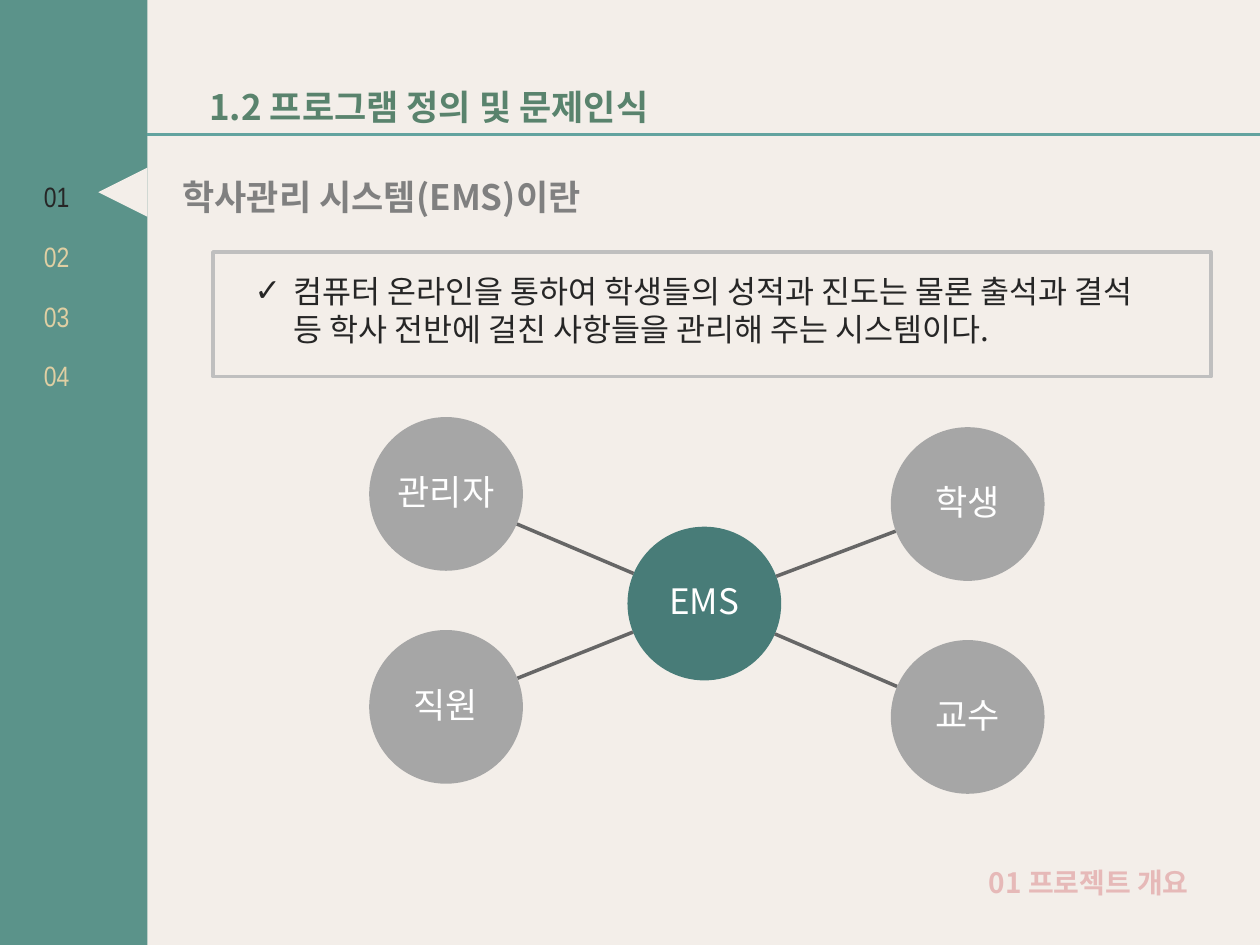
from math import hypot

from lxml import etree
from pptx import Presentation
from pptx.dml.color import RGBColor
from pptx.enum.shapes import MSO_CONNECTOR, MSO_SHAPE
from pptx.enum.text import MSO_ANCHOR, MSO_AUTO_SIZE, PP_ALIGN
from pptx.oxml.ns import qn
from pptx.util import Inches, Pt

RECT, OVAL = MSO_SHAPE.RECTANGLE, MSO_SHAPE.OVAL
TRIANGLE = MSO_SHAPE.ISOSCELES_TRIANGLE
STRAIGHT = MSO_CONNECTOR.STRAIGHT
TOP, MIDDLE = MSO_ANCHOR.TOP, MSO_ANCHOR.MIDDLE
LEFT, CENTER = PP_ALIGN.LEFT, PP_ALIGN.CENTER
NO_FIT = MSO_AUTO_SIZE.NONE

KOREAN, NARROW = "Noto Sans CJK KR", "Arial Narrow"
CREAM, TEAL, DARK_TEAL, GREY = "F3EEE9", "5B938A", "487C78", "A6A6A6"
INK, SAND, WHITE = "262626", "E0CFA3", "FFFFFF"


def rgb(value):
    """Turn a hex string into a colour."""
    return RGBColor.from_string(value)


class Deck:
    """Hold the presentation, its text styles and the current slide."""

    styles = {
        "heading": {"name": KOREAN, "size": Pt(20), "bold": True},
        "body": {"name": KOREAN, "size": Pt(18), "bold": False},
        "node": {"name": KOREAN, "size": Pt(20), "bold": False},
        "number": {"name": NARROW, "size": Pt(16), "bold": False},
        "footer": {"name": KOREAN, "size": Pt(16), "bold": True},
    }

    def __init__(self, width, height):
        """Start an empty presentation of the given size."""
        self.prs = Presentation()
        self.prs.slide_width, self.prs.slide_height = Inches(width), Inches(height)
        self.s = None

    def slide(self, background):
        """Add a title and content slide with a plain background."""
        self.s = self.prs.slides.add_slide(self.prs.slide_layouts[1])
        fill = self.s.background.fill
        fill.solid()
        fill.fore_color.rgb = rgb(background)

    def label(self, sp, text, style, color, align=LEFT, anchor=TOP):
        """Put one styled paragraph into a shape."""
        tf = sp.text_frame
        frame = {"word_wrap": True, "auto_size": NO_FIT, "vertical_anchor": anchor}
        for key, value in frame.items():
            setattr(tf, key, value)
        p = tf.paragraphs[0]
        p.alignment, p.space_before = align, Pt(0)
        r = p.add_run()
        r.text = text
        for key, value in self.styles[style].items():
            setattr(r.font, key, value)
        r.font.color.rgb = rgb(color)
        ea = etree.SubElement(r.font._element, qn("a:ea"))
        ea.set("typeface", self.styles[style]["name"])
        return p

    def placeholder(self, index, box, text, style, color):
        """Move and fill a template placeholder."""
        sp = self.s.placeholders[index]
        sp.left, sp.top, sp.width, sp.height = map(Inches, box)
        return self.label(sp, text, style, color)

    def bullet(self, p, char, indent):
        """Give a paragraph a hanging bullet."""
        pPr = p._p.get_or_add_pPr()
        pPr.set("marL", str(Inches(indent)))
        pPr.set("indent", str(-Inches(indent)))
        etree.SubElement(pPr, qn("a:buChar")).set("char", char)

    def text(self, box, text, style, color):
        """Add a text box."""
        sp = self.s.shapes.add_textbox(*map(Inches, box))
        self.label(sp, text, style, color)

    def shape(self, kind, box, fill=None, line=None, rotation=0):
        """Add a preset shape with an optional fill and outline."""
        sp = self.s.shapes.add_shape(kind, *map(Inches, box))
        sp.shadow.inherit = False
        sp.rotation = rotation
        if fill:
            sp.fill.solid()
            sp.fill.fore_color.rgb = rgb(fill)
        else:
            sp.fill.background()
        if line:
            sp.line.color.rgb, sp.line.width = rgb(line), Pt(2)
        else:
            sp.line.fill.background()
        return sp

    def line(self, start, end, color, width):
        """Add a straight line without a shadow."""
        sp = self.s.shapes.add_connector(STRAIGHT, *map(Inches, (*start, *end)))
        sp.line.color.rgb, sp.line.width = rgb(color), Pt(width)
        etree.SubElement(sp._element.spPr, qn("a:effectLst"))

    def node(self, center, radius, text, fill):
        """Add a labelled circle around a centre point."""
        x, y = center
        sp = self.shape(OVAL, (x - radius, y - radius, 2 * radius, 2 * radius), fill)
        for side in ("left", "top", "right", "bottom"):
            setattr(sp.text_frame, f"margin_{side}", Inches(0.01))
        p = self.label(sp, text, "node", WHITE, CENTER, MIDDLE)
        p.line_spacing = 0.9

    def spoke(self, hub, center, radius):
        """Join the edges of two circles of equal radius."""
        dx, dy = center[0] - hub[0], center[1] - hub[1]
        part = radius / hypot(dx, dy)
        start = hub[0] + dx * part, hub[1] + dy * part
        end = center[0] - dx * part, center[1] - dy * part
        self.line(start, end, "666666", 2)


def main():
    """Build the slide and save it."""
    deck = Deck(10, 7.5)
    deck.slide(CREAM)

    deck.shape(RECT, (0, 0, 1.17, 7.5), TEAL)
    deck.shape(TRIANGLE, (0.78, 1.33, 0.39, 0.39), CREAM, rotation=270)
    for i in range(4):
        box = (0.25, 1.38 + i * 1.42 / 3, 0.49, 0.37)
        deck.text(box, f"{i + 1:02d}", "number", SAND if i else INK)

    deck.placeholder(0, (1.56, 0.63, 4.7, 0.44), "1.2 프로그램 정의 및 문제인식", "heading", "59836D")
    deck.line((1.17, 1.07), (10, 1.07), "62A39F", 1.5)
    deck.text((1.35, 1.34, 3.97, 0.44), "학사관리 시스템(EMS)이란", "heading", "808080")

    definition = ("컴퓨터 온라인을 통하여 학생들의 성적과 진도는 물론 출석과 결석 "
                  "등 학사 전반에 걸친 사항들을 관리해 주는 시스템이다.")
    p = deck.placeholder(1, (1.92, 2.11, 7.34, 1.01), definition, "body", INK)
    deck.bullet(p, "✓", 0.31)
    deck.shape(RECT, (1.69, 2, 7.92, 0.99), line="BFBFBF")

    hub, radius = (5.59, 4.79), 0.61
    users = {"직원": (3.54, 5.61), "학생": (7.68, 4), "교수": (7.68, 5.69), "관리자": (3.54, 3.92)}
    deck.node(hub, radius, "EMS", DARK_TEAL)
    for name, center in users.items():
        deck.spoke(hub, center, radius)
        deck.node(center, radius, name, GREY)

    deck.text((7.75, 6.82, 2.25, 0.37), "01 프로젝트 개요", "footer", "E6B9B8")
    deck.prs.save("out.pptx")


if __name__ == "__main__":
    main()
